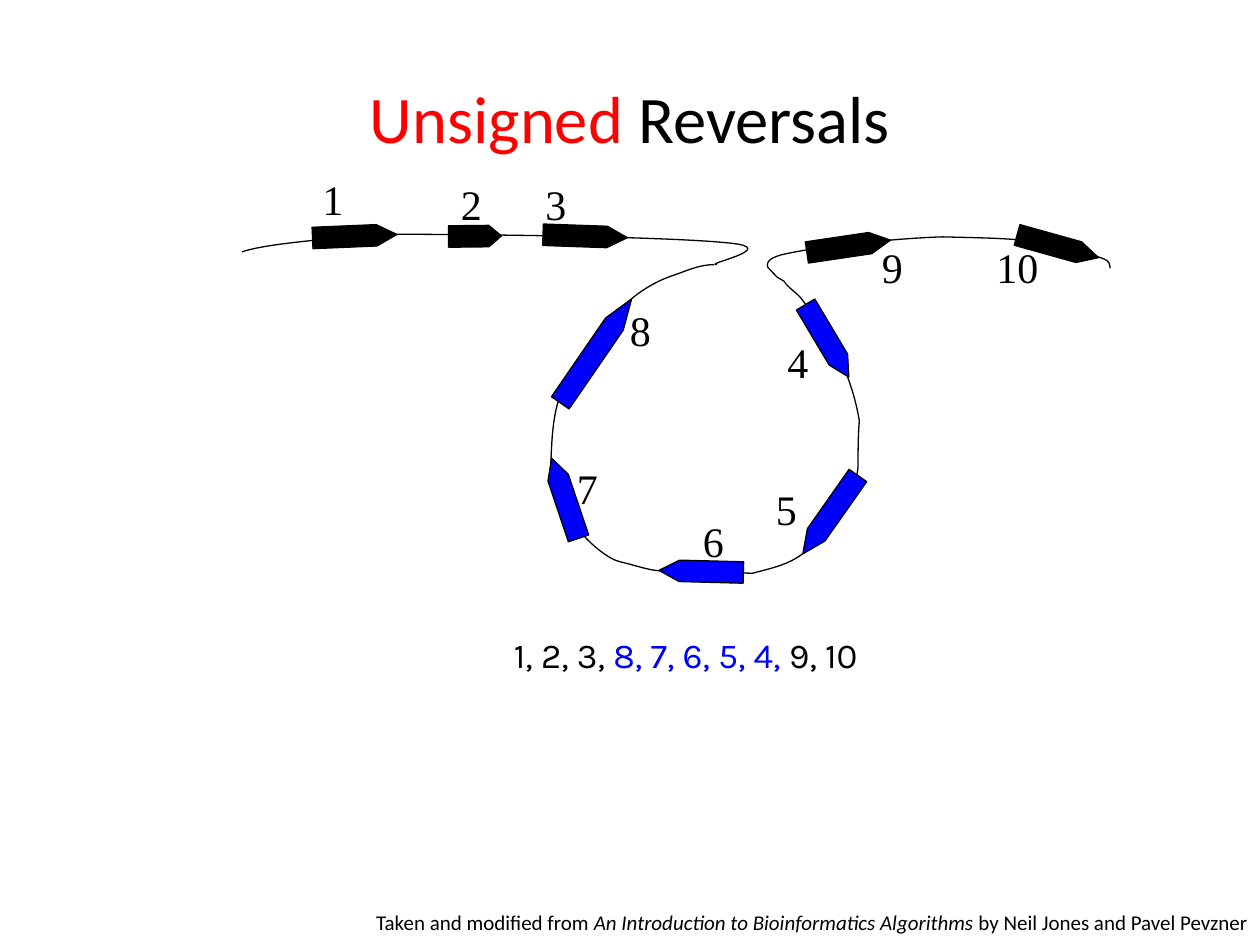
from lxml import etree
from pptx import Presentation
from pptx.dml.color import RGBColor
from pptx.enum import shapes, text
from pptx.util import Inches, Pt

BLACK, BLUE, RED = "000000", "0000FF", "FF0000"


def color(value):
    return RGBColor.from_string(value)


class SlideBuilder:
    line_width = 0.75
    label = {"name": "Times New Roman", "size": Pt(24)}
    order = {"name": "Karla", "size": Pt(20)}
    heading = {"name": "Calibri", "size": Pt(38)}
    credit = {"name": "Calibri", "size": Pt(12)}

    def __init__(self, page):
        self.page = page

    def add_spans(self, para, spans, style):
        for words, ink, extra in spans:
            span = para.add_run()
            span.text = words
            for key, value in {**style, **extra}.items():
                setattr(span.font, key, value)
            span.font.color.rgb = color(ink)

    def outline(self, shape):
        shape.shadow.inherit = False
        shape.line.color.rgb = color(BLACK)
        shape.line.width = Pt(self.line_width)

    def title(self, place, spans):
        box = self.page.shapes.title
        for key, value in zip(("left", "top", "width", "height"), place):
            setattr(box, key, Inches(value))
        box.text_frame.vertical_anchor = text.MSO_ANCHOR.MIDDLE
        para = box.text_frame.paragraphs[0]
        para.alignment = text.PP_ALIGN.CENTER
        self.add_spans(para, spans, self.heading)

    def text_box(self, place, spans, style, wrap=False, align=text.PP_ALIGN.LEFT):
        box = self.page.shapes.add_textbox(*map(Inches, place))
        frame = box.text_frame
        frame.word_wrap = wrap
        frame.auto_size = text.MSO_AUTO_SIZE.SHAPE_TO_FIT_TEXT
        frame.paragraphs[0].alignment = align
        self.add_spans(frame.paragraphs[0], spans, style)

    def gene(self, left, top, width, rotation, head, fill):
        arrow = self.page.shapes.add_shape(
            shapes.MSO_SHAPE.RIGHT_ARROW,
            Inches(left), Inches(top), Inches(width), Inches(0.17))
        arrow.rotation = rotation
        arrow.adjustments[0] = 1
        arrow.adjustments[1] = head
        arrow.fill.solid()
        arrow.fill.fore_color.rgb = color(fill)
        self.outline(arrow)

    def curve(self, points):
        start, *rest = [(Inches(x), Inches(y)) for x, y in points]
        builder = self.page.shapes.build_freeform(*start)
        builder.add_line_segments(rest, close=False)
        strand = builder.convert_to_shape()
        strand.fill.background()
        self.outline(strand)
        segments = strand._element.xpath(".//a:lnTo")
        for index in range(0, len(segments), 3):
            first, *others = segments[index:index + 3]
            first.tag = etree.QName(first.nsmap["a"], "cubicBezTo")
            for segment in others:
                first.append(segment[0])
                segment.getparent().remove(segment)


LOOP = [
    (6.1, 2.13),
    (6.19, 2.22), (6.15, 2.19), (6.22, 2.23),
    (6.26, 2.29), (6.32, 2.32), (6.36, 2.37),
    (6.42, 2.45), (6.48, 2.55), (6.55, 2.62),
    (6.57, 2.67), (6.63, 2.76), (6.63, 2.76),
    (6.65, 2.84), (6.7, 2.91), (6.73, 3),
    (6.77, 3.11), (6.8, 3.22), (6.82, 3.34),
    (6.81, 3.46), (6.81, 3.59), (6.81, 3.71),
    (6.8, 3.83), (6.73, 3.91), (6.69, 4.01),
    (6.67, 4.04), (6.67, 4.07), (6.66, 4.1),
    (6.6, 4.2), (6.51, 4.33), (6.4, 4.37),
    (6.28, 4.48), (6.12, 4.51), (5.97, 4.55),
    (5.73, 4.54), (5.49, 4.54), (5.25, 4.53),
    (5.18, 4.53), (5.12, 4.51), (5.04, 4.49),
    (4.98, 4.47), (4.9, 4.46), (4.85, 4.43),
    (4.71, 4.35), (4.61, 4.23), (4.51, 4.11),
    (4.47, 4), (4.52, 4.15), (4.46, 4.03),
    (4.42, 3.93), (4.39, 3.82), (4.37, 3.71),
    (4.38, 3.51), (4.38, 3.25), (4.48, 3.06),
    (4.56, 2.9), (4.67, 2.76), (4.78, 2.62),
    (4.93, 2.42), (5.11, 2.26), (5.36, 2.18),
    (5.47, 2.14), (5.56, 2.1), (5.67, 2.1),
]
RIGHT_STRAND = [
    (6.1, 2.13),
    (6.1, 2.13), (6.03, 2.05), (6.26, 2.01),
    (6.48, 1.96), (7.12, 1.89), (7.48, 1.88),
    (7.88, 1.89), (8.06, 1.89), (8.39, 1.94),
    (8.5, 1.97), (8.61, 2), (8.72, 2.04),
    (8.77, 2.06), (8.81, 2.06), (8.81, 2.13),
]
LEFT_STRAND = [
    (1.92, 2),
    (2.14, 1.92), (2.93, 1.87), (3.17, 1.86),
    (3.81, 1.86), (5.34, 1.88), (5.79, 1.93),
    (6.21, 1.97), (5.57, 2.1), (5.69, 2.1),
]
LABELS = [
    ("1", 2.46, 1.33, 0.36, False), ("3", 4.23, 1.37, 0.36, False),
    ("2", 3.56, 1.37, 0.36, False), ("4", 6.15, 2.62, 0.36, False),
    ("10", 7.81, 1.87, 0.53, False), ("5", 6.06, 3.79, 0.36, False),
    ("6", 5.48, 4.04, 0.36, False), ("8", 4.9, 2.37, 0.58, True),
    ("9", 6.9, 1.87, 0.58, True), ("7", 4.48, 3.62, 0.58, True),
]
GENES = [
    (2.48, 1.79, 0.67, 357.6, 0.95, BLACK),
    (3.56, 1.79, 0.42, 359.4, 0.59, BLACK),
    (4.31, 1.79, 0.67, 2, 0.95, BLACK),
    (6.23, 2.62, 0.67, 59.2, 0.95, BLUE),
    (5.23, 4.45, 0.67, 181.5, 0.95, BLUE),
    (6.21, 4, 0.76, 125.1, 1.08, BLUE),
    (4.15, 3.87, 0.67, 251.4, 0.95, BLUE),
    (4.23, 2.7, 1, 304.5, 1.42, BLUE),
    (6.4, 1.87, 0.67, 351.6, 0.95, BLACK),
    (8.06, 1.87, 0.67, 15.6, 0.95, BLACK),
]


def main():
    deck = Presentation()
    deck.slide_width, deck.slide_height = Inches(10), Inches(7.5)
    slide = SlideBuilder(deck.slides.add_slide(deck.slide_layouts[5]))
    slide.title((0.5, 0.3, 9, 1.25),
                [("Unsigned", RED, {}), (" Reversals", BLACK, {})])
    slide.curve(LOOP)
    slide.curve(RIGHT_STRAND)
    for number, left, top, width, wrap in LABELS:
        slide.text_box((left, top, width, 0.5), [(number, BLACK, {})],
                       slide.label, wrap)
    for gene in GENES:
        slide.gene(*gene)
    slide.curve(LEFT_STRAND)
    slide.text_box((3.98, 4.98, 3.27, 0.44), [
        ("1, 2, 3, ", BLACK, {}),
        ("8, 7, 6, 5, 4, ", BLUE, {}),
        ("9, 10", BLACK, {}),
    ], slide.order)
    slide.text_box((1.92, 7.17, 8.08, 0.3), [
        ("Taken and modified from ", BLACK, {}),
        ("An Introduction to Bioinformatics Algorithms", BLACK, {"italic": True}),
        (" by Neil Jones and Pavel Pevzner", BLACK, {}),
    ], slide.credit, True, text.PP_ALIGN.RIGHT)
    deck.save("out.pptx")


if __name__ == "__main__":
    main()
